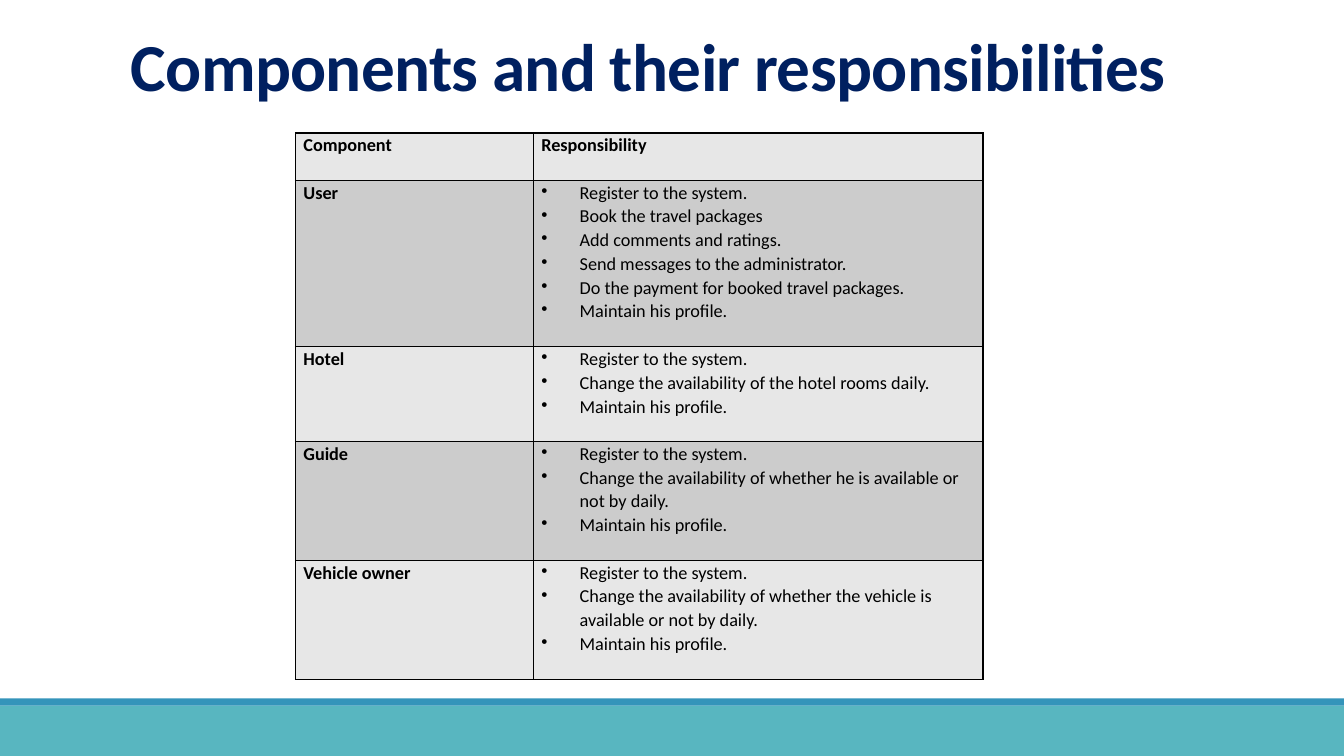
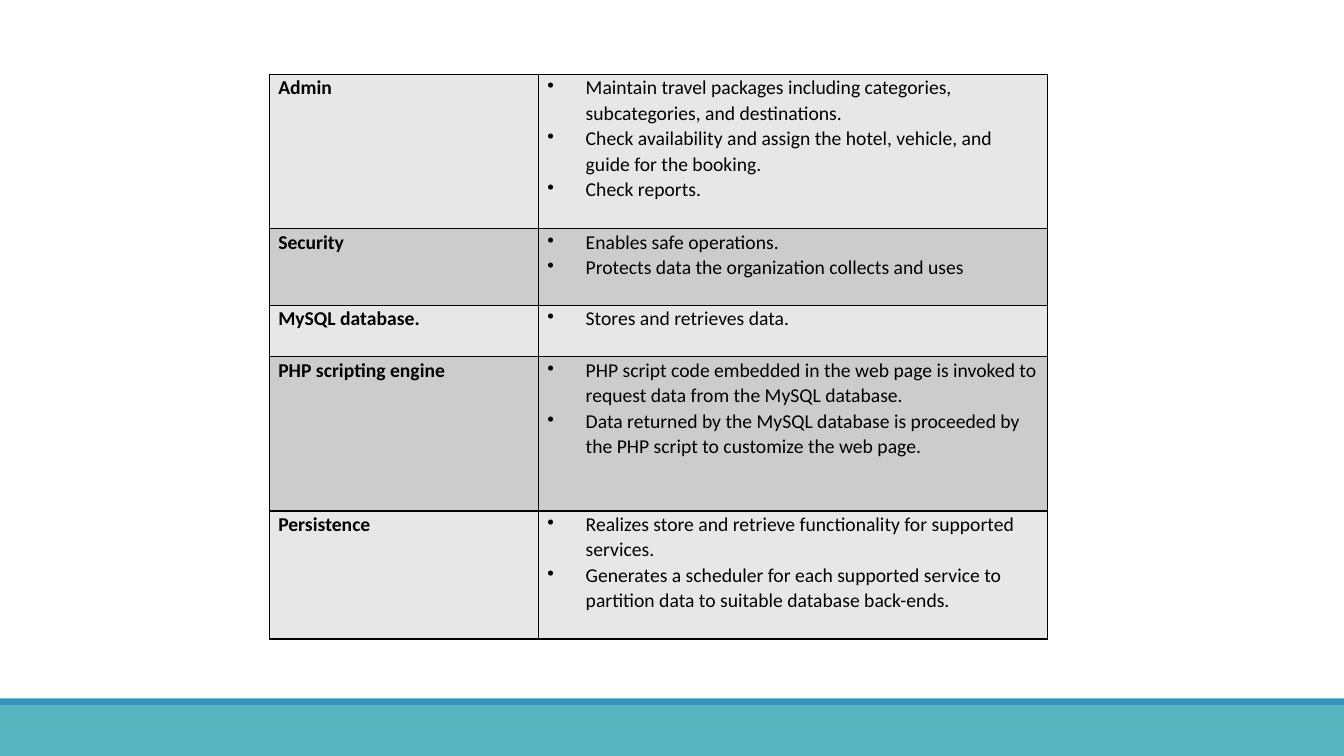
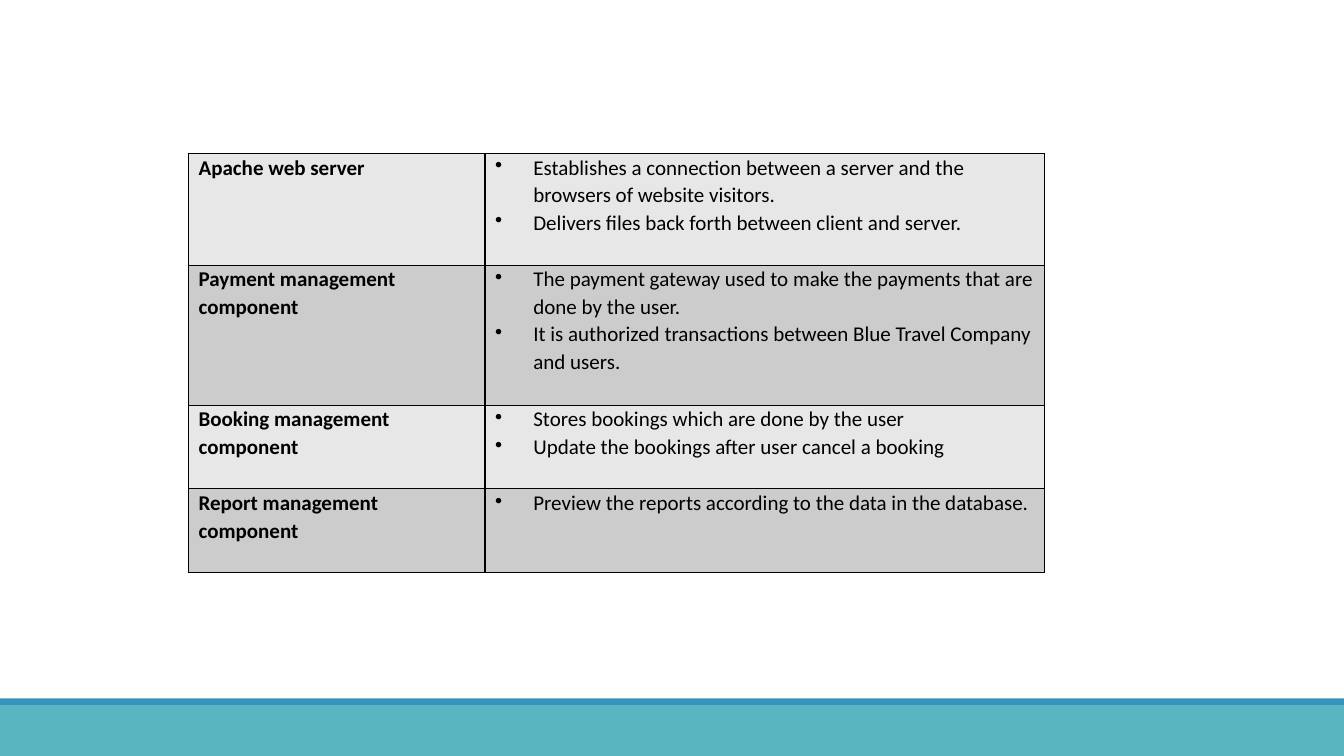
import pptx
import pptx.dml.color
import pptx.enum.shapes
import pptx.enum.text
import pptx.oxml
import pptx.oxml.ns
import pptx.util
from pptx.util import Inches


def colour(value):
    return pptx.dml.color.RGBColor.from_string(value)


def add_element(parent, xml):
    """Append a drawing element, given as XML with the prefix a."""
    namespace = pptx.oxml.ns.nsdecls("a")
    parent.append(pptx.oxml.parse_xml(xml.replace(" ", f" {namespace} ", 1)))


class Deck:
    FONT = "Calibri"
    TITLE = "002060"
    TEXT = "000000"
    BANDS = [("58B6C0", 7, 0.5), ("3494BA", 6.93, 0.07)]
    ROW_FILLS = ["E7E7E7", "CCCCCC"]
    WIDTH, HEIGHT = 13.33, 7.5
    LINE_SPACING = 1.07
    BULLET_INDENT = 0.38

    def __init__(self):
        self.deck = pptx.Presentation()
        self.deck.slide_width = Inches(self.WIDTH)
        self.deck.slide_height = Inches(self.HEIGHT)
        self.page = None

    def add_page(self):
        self.page = self.deck.slides.add_slide(self.deck.slide_layouts[6])
        for fill, top, height in self.BANDS:
            self.add_band(fill, top, height)

    def add_band(self, fill, top, height):
        band = self.page.shapes.add_shape(
            pptx.enum.shapes.MSO_SHAPE.RECTANGLE,
            0, Inches(top), Inches(self.WIDTH), Inches(height))
        band.shadow.inherit = False
        band.fill.solid()
        band.fill.fore_color.rgb = colour(fill)
        band.line.fill.background()

    def add_span(self, para, text, hue, size, bold):
        span = para.add_run()
        span.text = text
        formats = {"name": self.FONT, "size": pptx.util.Pt(size), "bold": bold}
        for name, value in formats.items():
            setattr(span.font, name, value)
        span.font.color.rgb = colour(hue)
        return span

    def add_title(self, text):
        box = self.page.shapes.add_textbox(
            Inches(1.2), Inches(0.31), Inches(11), Inches(1.59))
        frame = box.text_frame
        frame.word_wrap = True
        frame.vertical_anchor = pptx.enum.text.MSO_ANCHOR.TOP
        para = frame.paragraphs[0]
        para.line_spacing = 0.85
        span = self.add_span(para, text, self.TITLE, 48, True)
        span.font._element.set("spc", "-50")

    def add_table(self, left, top, columns, heights, rows, size, inset):
        """Add rows of (component, responsibilities); a list gets bullets."""
        table = self.page.shapes.add_table(
            len(rows), len(columns), Inches(left), Inches(top),
            Inches(sum(columns)), Inches(sum(heights))).table
        table.first_row = table.horz_banding = False
        for column, width in zip(table.columns, columns):
            column.width = Inches(width)
        for index, (row, height, texts) in enumerate(zip(table.rows, heights, rows)):
            row.height = Inches(height)
            fill = self.ROW_FILLS[index % 2]
            for cell, text in zip(row.cells, texts):
                self.style_cell(cell, fill, inset)
                self.fill_cell(cell, text, size)

    def style_cell(self, cell, fill, inset):
        formats = {"margin_left": Inches(inset), "margin_right": Inches(inset),
                   "margin_top": 0, "margin_bottom": 0}
        for name, value in formats.items():
            setattr(cell, name, value)
        properties = cell._tc.get_or_add_tcPr()
        for side in "LRTB":
            add_element(properties, f'<a:ln{side} w="12700"><a:solidFill>'
                        f'<a:srgbClr val="{self.TEXT}"/></a:solidFill></a:ln{side}>')
        cell.fill.solid()
        cell.fill.fore_color.rgb = colour(fill)

    def fill_cell(self, cell, text, size):
        bulleted = isinstance(text, list)
        frame = cell.text_frame
        for index, line in enumerate(text if bulleted else [text]):
            para = frame.add_paragraph() if index else frame.paragraphs[0]
            if bulleted:
                properties = para._p.get_or_add_pPr()
                properties.set("marL", str(Inches(self.BULLET_INDENT)))
                properties.set("indent", str(-Inches(self.BULLET_INDENT)))
                add_element(properties, '<a:buChar char="•"/>')
            para.line_spacing = self.LINE_SPACING
            self.add_span(para, line, self.TEXT, size, not bulleted)

    def save(self):
        self.deck.save("out.pptx")


REGISTER = "Register to the system."
PROFILE = "Maintain his profile."

PEOPLE = [
    ("Component", "Responsibility"),
    ("User", [REGISTER, "Book the travel packages", "Add comments and ratings.",
              "Send messages to the administrator.",
              "Do the payment for booked travel packages.", PROFILE]),
    ("Hotel", [REGISTER, "Change the availability of the hotel rooms daily.", PROFILE]),
    ("Guide", [REGISTER,
               "Change the availability of whether he is available or not by daily.",
               PROFILE]),
    ("Vehicle owner", [
        REGISTER,
        "Change the availability of whether the vehicle is available or not by daily.",
        PROFILE]),
]

SYSTEM = [
    ("Admin", [
        "Maintain travel packages including categories, subcategories, and destinations.",
        "Check availability and assign the hotel, vehicle, and guide for the booking.",
        "Check reports."]),
    ("Security", ["Enables safe operations.",
                  "Protects data the organization collects and uses"]),
    ("MySQL database.", ["Stores and retrieves data."]),
    ("PHP scripting engine", [
        "PHP script code embedded in the web page is invoked to request data from "
        "the MySQL database.",
        "Data returned by the MySQL database is proceeded by the PHP script to "
        "customize the web page."]),
    ("Persistence", [
        "Realizes store and retrieve functionality for supported services.",
        "Generates a scheduler for each supported service to partition data to "
        "suitable database back-ends."]),
]

SERVICES = [
    ("Apache web server", [
        "Establishes a connection between a server and the browsers of website visitors.",
        "Delivers files back forth between client and server."]),
    ("Payment management component", [
        "The payment gateway used to make the payments that are done by the user.",
        "It is authorized transactions between Blue Travel Company and users."]),
    ("Booking management component", [
        "Stores bookings which are done by the user",
        "Update the bookings after user cancel a booking"]),
    ("Report management component", [
        "Preview the reports according to the data in the database."]),
]


def main():
    deck = Deck()
    deck.add_page()
    deck.add_title("Components and their responsibilities")
    deck.add_table(2.93, 1.32, [2.36, 4.46], [0.47, 1.65, 0.94, 1.18, 1.18],
                   PEOPLE, size=13, inset=0.08)
    deck.add_page()
    deck.add_table(2.67, 0.74, [2.67, 5.05], [1.53, 0.76, 0.51, 1.53, 1.27],
                   SYSTEM, size=14, inset=0.09)
    deck.add_page()
    deck.add_table(1.87, 1.52, [2.94, 5.55], [1.11, 1.39, 0.83, 0.83],
                   SERVICES, size=15, inset=0.1)
    deck.save()


if __name__ == "__main__":
    main()
